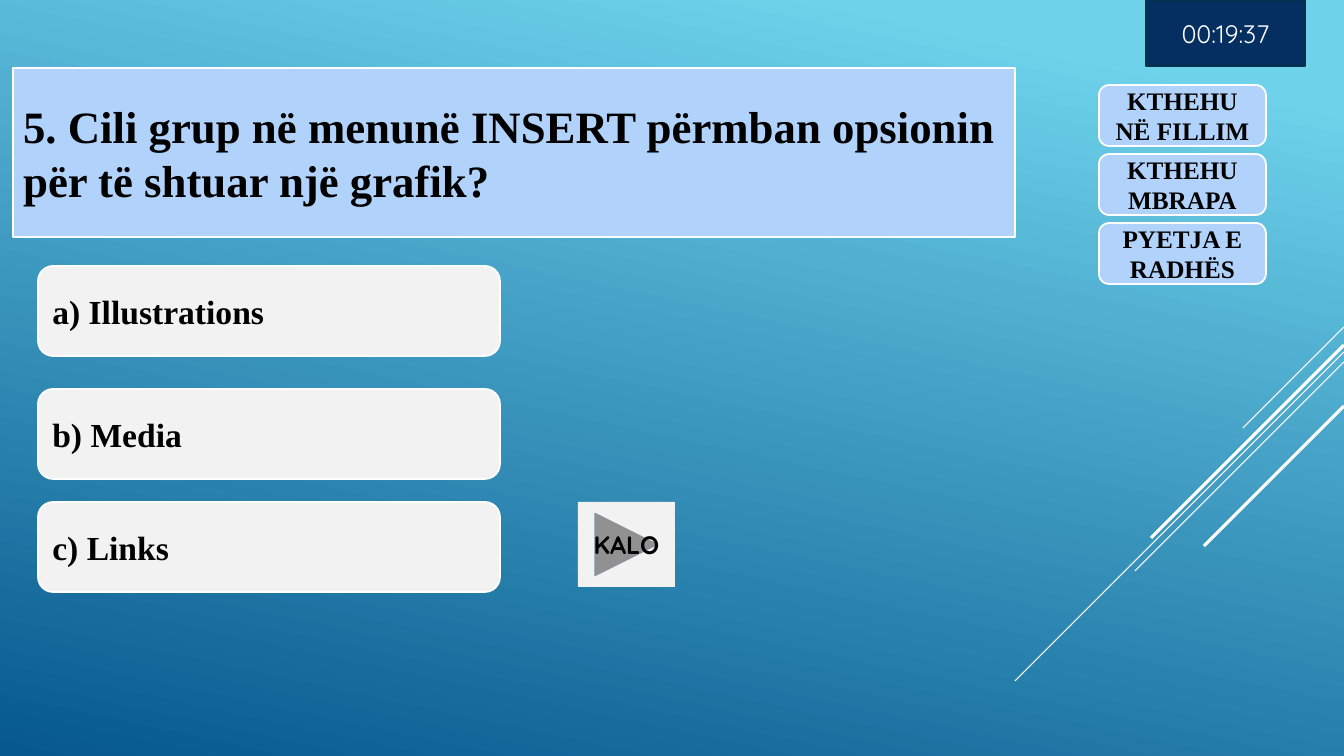
"""Build a quiz question slide with answers, navigation buttons and a timer."""
from lxml.etree import SubElement
from pptx import Presentation
from pptx.dml.color import RGBColor
from pptx.enum.shapes import MSO_CONNECTOR, MSO_SHAPE as SHAPE
from pptx.enum.text import MSO_ANCHOR, MSO_AUTO_SIZE, PP_ALIGN as ALIGN
from pptx.oxml.ns import qn
from pptx.util import Pt

EMU_PER_PX = 914400 / 100.8
SLIDE_WIDTH, SLIDE_HEIGHT = 1344, 756

SKY = RGBColor(0x6E, 0xD2, 0xEB)
DEEP_BLUE = RGBColor(0x06, 0x58, 0x8E)
PALE_BLUE = RGBColor(0xB1, 0xD3, 0xFB)
PALE_GREY = RGBColor(0xF2, 0xF2, 0xF2)
NAVY = RGBColor(0x05, 0x2F, 0x61)
NAVY_EDGE = RGBColor(0x04, 0x31, 0x48)
WHITE = RGBColor(0xFF, 0xFF, 0xFF)
BLACK = RGBColor(0x00, 0x00, 0x00)

SERIF, ROUNDED_SANS = "Times New Roman", "Quicksand"


def px(length):
    """Turn pixels into EMU."""
    return round(length * EMU_PER_PX)


def paint(shape, fill, edge):
    """Give a shape a solid fill and an outline, or no outline."""
    shape.fill.solid()
    shape.fill.fore_color.rgb = fill
    if edge is None:
        shape.line.fill.background()
    else:
        shape.line.color.rgb = edge
        shape.line.width = Pt(1.25)


def write(shape, text, size, align=ALIGN.CENTER, font=SERIF, color=BLACK, bold=True):
    """Write one vertically centred paragraph into a shape."""
    frame = shape.text_frame
    frame.text = text
    frame.word_wrap = True
    frame.auto_size = MSO_AUTO_SIZE.NONE
    frame.vertical_anchor = MSO_ANCHOR.MIDDLE
    paragraph = frame.paragraphs[0]
    paragraph.alignment = align
    paragraph.font.name = font
    paragraph.font.size = Pt(size)
    paragraph.font.bold = bold
    paragraph.font.color.rgb = color


def add_panel(slide, kind, box, fill, edge=WHITE):
    """Add a filled preset shape in the given box."""
    panel = slide.shapes.add_shape(kind, *map(px, box))
    panel.shadow.inherit = False
    paint(panel, fill, edge)
    return panel


def add_background(slide):
    """Fill the slide with the blue gradient."""
    fill = slide.background.fill
    fill.gradient()
    fill.gradient_angle = 258
    for stop, color, position in zip(fill.gradient_stops, (SKY, DEEP_BLUE), (0.1, 1)):
        stop.color.rgb = color
        stop.position = position


def add_diagonals(slide, right):
    """Draw the 45-degree rays that run down and left from the right edge."""
    rays = ((327, 101, 0.75), (352, 329, 0.75), (362, 209, 0.75),
            (345, 193, 2.25), (406, 140, 2.25))
    for top, run, weight in rays:
        ends = map(px, (right, top, right - run, top + run))
        ray = slide.shapes.add_connector(MSO_CONNECTOR.STRAIGHT, *ends)
        ray.line.color.rgb = WHITE
        ray.line.width = Pt(weight)
        SubElement(ray._element.spPr, qn("a:effectLst"))


def add_question(slide, left, top, width, height):
    """Turn the title into the rounded question panel."""
    question = slide.shapes.title
    question.left, question.top = px(left), px(top)
    question.width, question.height = px(width), px(height)
    outline = SubElement(question._element.spPr, qn("a:prstGeom"), prst="roundRect")
    SubElement(outline, qn("a:avLst"))
    paint(question, PALE_BLUE, WHITE)
    write(question, "5. Cili grup në menunë INSERT përmban opsionin për të shtuar një grafik?",
          32, ALIGN.LEFT)


def add_answers(slide, left, top, width, height):
    """Place the three answers below each other."""
    answers = (("a) Illustrations", 0), ("b) Media", 123), ("c) Links", 236))
    for answer, offset in answers:
        box = (left, top + offset, width, height)
        write(add_panel(slide, SHAPE.ROUNDED_RECTANGLE, box, PALE_GREY), answer, 24, ALIGN.LEFT)


def add_navigation(slide, left, top, width, height):
    """Stack the navigation buttons at an equal pitch."""
    gap = 8
    for row, label in enumerate(("KTHEHU NË FILLIM", "KTHEHU MBRAPA", "PYETJA E RADHËS")):
        box = (left, top + row * (height + gap), width, height)
        write(add_panel(slide, SHAPE.ROUNDED_RECTANGLE, box, PALE_BLUE), label, 18)


def add_skip_button(slide, *box):
    """Add the button that skips the question."""
    skip = add_panel(slide, SHAPE.ACTION_BUTTON_FORWARD_OR_NEXT, box, PALE_GREY, None)
    write(skip, "KALO", 18, font=ROUNDED_SANS)


def add_timer(slide, *box):
    """Add the countdown."""
    timer = add_panel(slide, SHAPE.RECTANGLE, box, NAVY, NAVY_EDGE)
    write(timer, "00:19:37", 18, font=ROUNDED_SANS, color=WHITE, bold=False)


def main():
    """Build and save the slide."""
    deck = Presentation()
    deck.slide_width, deck.slide_height = px(SLIDE_WIDTH), px(SLIDE_HEIGHT)
    slide = deck.slides.add_slide(deck.slide_layouts[5])
    add_background(slide)
    add_diagonals(slide, SLIDE_WIDTH)
    add_question(slide, 13, 68, 1002, 169)
    add_answers(slide, 38, 266, 462, 90)
    add_navigation(slide, 1099, 85, 167, 61)
    add_skip_button(slide, 578, 502, 97, 85)
    add_timer(slide, 1146, 0, 159, 66)
    deck.save("out.pptx")


if __name__ == "__main__":
    main()
